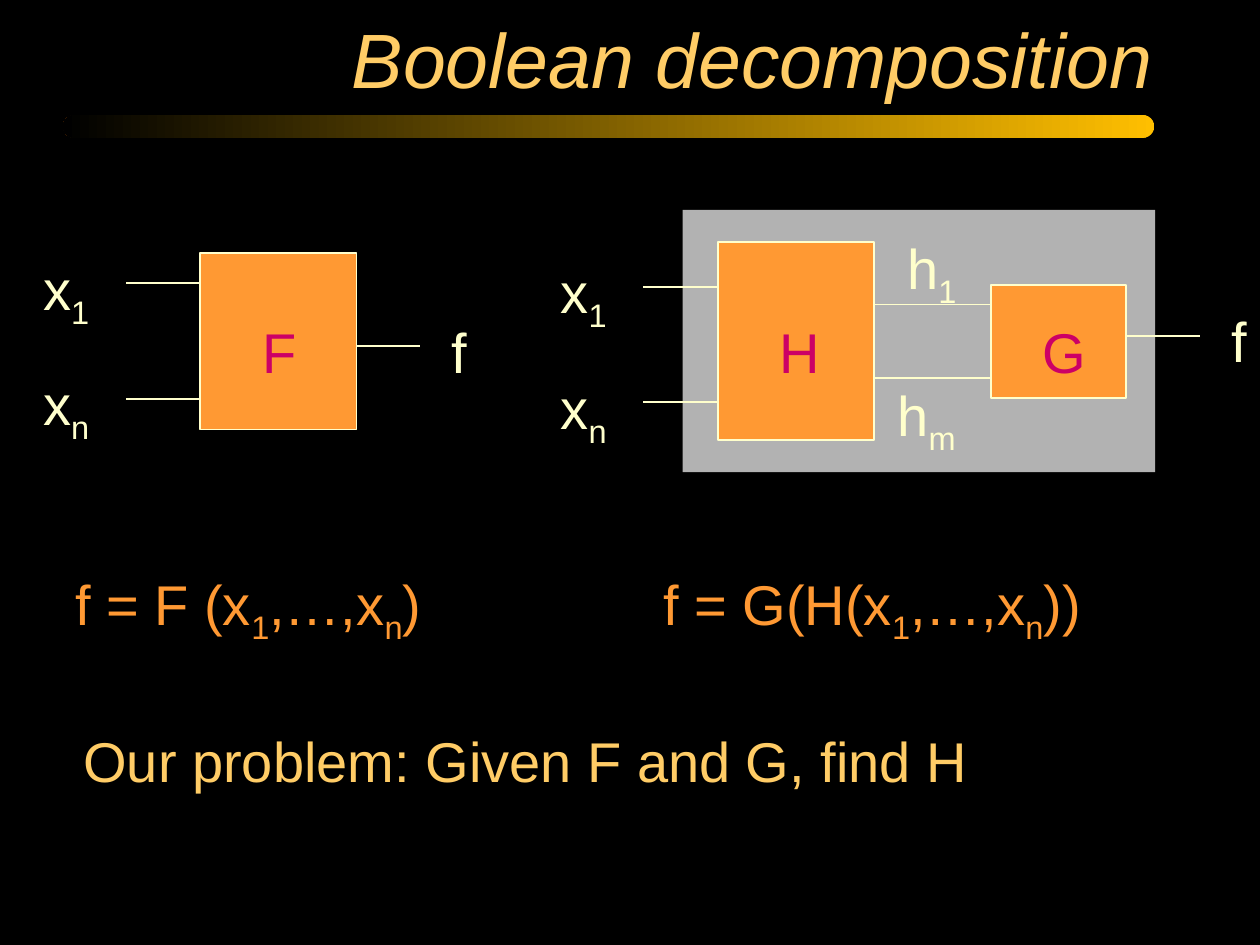
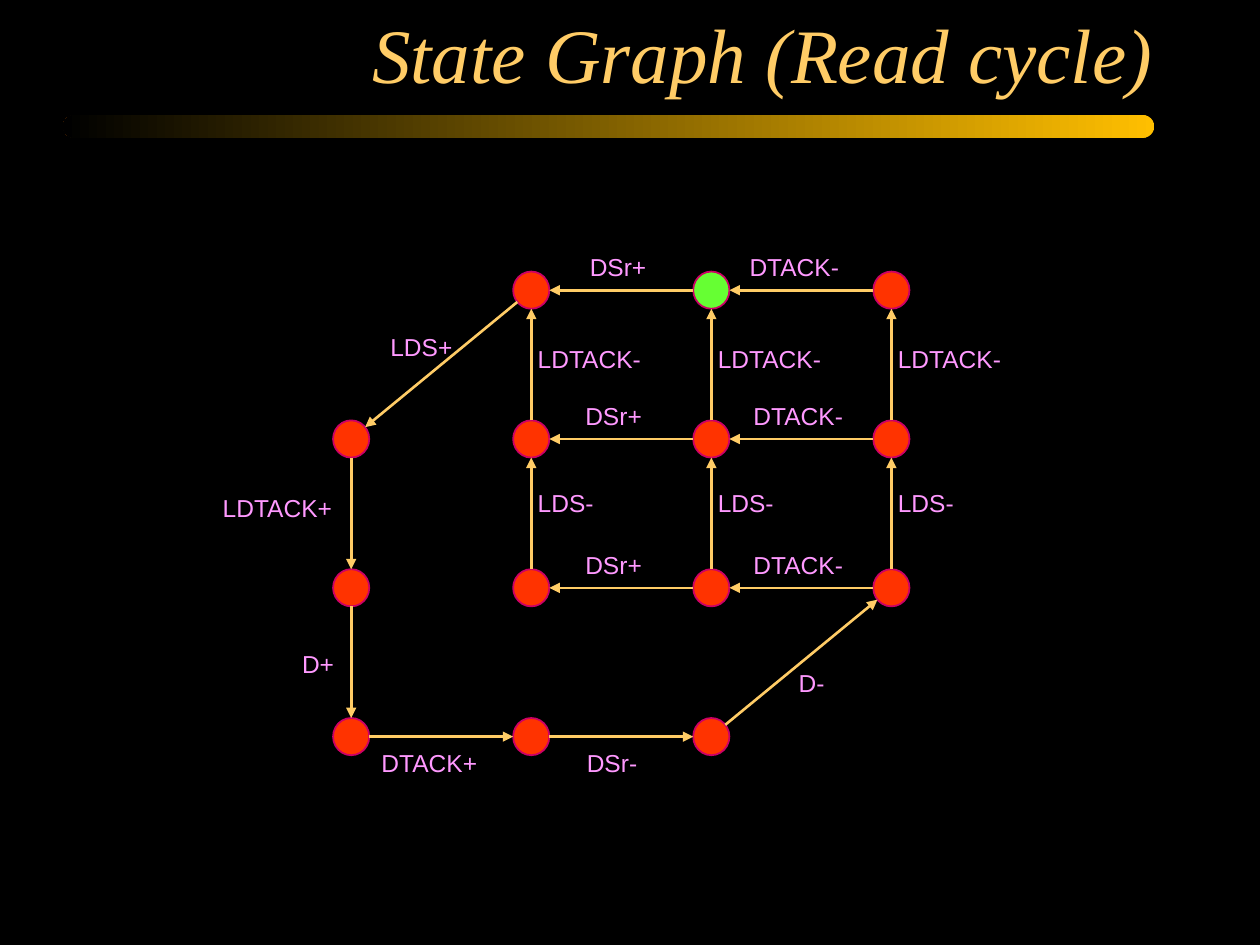
"""Build two slides: a Boolean decomposition diagram and a read-cycle state graph."""
from math import hypot

from lxml import etree
from pptx import Presentation
from pptx.dml.color import RGBColor
from pptx.enum import shapes, text
from pptx.oxml.ns import qn
from pptx.util import Cm, Pt

COLOURS = {
    "background": "000000", "band": "FFBF00", "gold": "FFCC66", "cream": "FFFFCC",
    "orange": "FF9933", "crimson": "CC0066", "panel": "B2B2B2", "state": "FF3300",
    "initial": "66FF33", "signal": "FF99FF",
}
TITLE_BOX = (1.91, 0.21, 21.59, 1.91)
BAND_BOX = (1.27, 2.32, 22, 0.46)

PANEL = (13.76, 4.23, 9.53, 5.29)
BLOCKS = [(4.04, 5.1, 3.15, 3.56), (14.48, 4.88, 3.14, 3.99), (19.98, 5.74, 2.72, 2.29)]
WIRES = [
    (2.54, 4.01, 5.71), (2.54, 4.01, 8.04), (7.19, 8.47, 6.98),
    (12.97, 14.45, 5.79), (12.97, 14.45, 8.11),
    (17.63, 19.97, 6.14), (17.63, 19.97, 7.62), (22.71, 24.19, 6.77),
]
DIAGRAM_TEXTS = [
    ("F", 5.04, 6.27, 1.19, "crimson"),
    ("H", 15.47, 6.27, 1.32, "crimson"),
    ("G", 20.77, 6.27, 1.4, "crimson"),
    ("x_1", 0.62, 5, 1.45, "cream"),
    ("x_n", 0.62, 7.32, 1.45, "cream"),
    ("f", 8.85, 6.27, 0.84, "cream"),
    ("x_1", 11.05, 5.07, 1.45, "cream"),
    ("x_n", 11.05, 7.4, 1.45, "cream"),
    ("h_1", 18.04, 4.58, 1.5, "cream"),
    ("h_m", 17.84, 7.54, 1.68, "cream"),
    ("f", 24.57, 6.05, 0.84, "cream"),
    ("f = F (x_1,…,x_n)", 1.27, 11.35, 7.49, "orange"),
    ("f = G(H(x_1,…,x_n))", 13.12, 11.35, 8.94, "orange"),
    ("Our problem: Given F and G, find H", 1.43, 14.53, 18.36, "gold"),
]

COLUMN_X = [7.08 + 3.63 * column for column in range(4)]
ROW_Y = [5.85 + 3 * row for row in range(4)]
STATE_SIZE = (0.73, 0.75)
INITIAL_STATE = (2, 0)
STATES = [(column, row) for row in range(3) for column in (1, 2, 3)]
STATES += [(0, 1), (0, 2), (0, 3), (1, 3), (2, 3)]
SIGNAL_WIDTHS = {
    "DSr+": 1.7, "DSr-": 1.57, "DTACK+": 2.51, "DTACK-": 2.39, "LDS+": 1.85,
    "LDS-": 1.68, "LDTACK+": 2.79, "LDTACK-": 2.67, "D+": 1.25, "D-": 1.12,
}
OUTER_TRANSITIONS = [
    ((1, 0), (0, 1), "LDS+", 7.62, 6.57),
    ((0, 1), (0, 2), "LDTACK+", 4.24, 9.82),
    ((0, 2), (0, 3), "D+", 5.84, 12.95),
    ((0, 3), (1, 3), "DTACK+", 7.44, 14.96),
    ((1, 3), (2, 3), "DSr-", 11.58, 14.96),
    ((2, 3), (3, 2), "D-", 15.85, 13.34),
]
LEFTWARD = [(2, "DSr+", (11.64, 11.55, 11.55)), (3, "DTACK-", (14.86, 14.94, 14.94))]
UPWARD = [(1, "LDTACK-", 6.81), (2, "LDS-", 9.72)]


def grid_transitions():
    """Return the leftward and upward transitions between the nine grid states."""
    leftward = [((column, row), (column - 1, row), signal, left, ROW_Y[row] - 0.89)
                for column, signal, lefts in LEFTWARD for row, left in enumerate(lefts)]
    upward = [((column, row), (column, row - 1), signal, COLUMN_X[column] - 0.12, top)
              for row, signal, top in UPWARD for column in (1, 2, 3)]
    return leftward + upward


def colour(name):
    """Return the named colour."""
    return RGBColor.from_string(COLOURS[name])


def lengths(values):
    """Convert centimetres to slide lengths."""
    return [Cm(value) for value in values]


def add_figure(slide, kind, box, fill=None, line=None):
    """Add a flat preset shape."""
    shape = slide.shapes.add_shape(kind, *lengths(box))
    shape.shadow.inherit = False
    if fill:
        shape.fill.solid()
        shape.fill.fore_color.rgb = colour(fill)
    if line:
        shape.line.color.rgb = colour(line)
        shape.line.width = Pt(1)
    else:
        shape.line.fill.background()
    return shape


def add_line(slide, ends, line, width, arrow=False):
    """Add a straight line, with an arrowhead at its end if asked."""
    connector = slide.shapes.add_connector(shapes.MSO_CONNECTOR.STRAIGHT, *lengths(ends))
    connector.line.color.rgb = colour(line)
    connector.line.width = Pt(width)
    properties = connector.element.spPr
    if arrow:
        etree.SubElement(properties.find(qn("a:ln")), qn("a:tailEnd"), type="triangle")
    etree.SubElement(properties, qn("a:effectLst"))


def add_text(slide, content, box, size, name):
    """Add one line of text in which an underscore lowers the next character."""
    frame = slide.shapes.add_textbox(*lengths(box)).text_frame
    frame.word_wrap = False
    frame.auto_size = text.MSO_AUTO_SIZE.SHAPE_TO_FIT_TEXT
    paragraph = frame.paragraphs[0]
    first, *rest = content.split("_")
    pieces = [(first, False)]
    for part in rest:
        pieces += [(part[0], True), (part[1:], False)]
    for piece, lowered in pieces:
        if piece:
            run = paragraph.add_run()
            run.text = piece
            run.font.name = "Arial"
            run.font.size = Pt(size)
            run.font.color.rgb = colour(name)
            if lowered:
                run._r.get_or_add_rPr().set("baseline", "-25000")


def prepare_layout(presentation):
    """Set the background and title place, and return the layout."""
    background = presentation.slide_master.background.fill
    background.solid()
    background.fore_color.rgb = colour("background")
    layout = presentation.slide_layouts.get_by_name("Title Only")
    title = layout.placeholders[0]
    title.left, title.top, title.width, title.height = lengths(TITLE_BOX)
    return layout


def move_band_to_layout(slide, layout):
    """Draw the gradient band and hand it to the layout."""
    band = add_figure(slide, shapes.MSO_SHAPE.ROUNDED_RECTANGLE, BAND_BOX)
    band.adjustments[0] = 0.5
    band.fill.gradient()
    band.fill.gradient_angle = 180
    for stop, name in zip(band.fill.gradient_stops, ("band", "background")):
        stop.color.rgb = colour(name)
    layout.shapes.element.insert(2, band.element)


def add_slide(presentation, layout, title, font_name, anchor):
    """Add a slide with its title."""
    slide = presentation.slides.add_slide(layout)
    frame = slide.shapes.title.text_frame
    frame.text = title
    frame.auto_size = text.MSO_AUTO_SIZE.NONE
    frame.vertical_anchor = anchor
    paragraph = frame.paragraphs[0]
    paragraph.alignment = text.PP_ALIGN.RIGHT
    font = paragraph.runs[0].font
    font.name, font.size, font.italic = font_name, Pt(44), True
    font.color.rgb = colour("gold")
    return slide


def draw_decomposition(slide):
    """Draw the blocks, wires and formulas."""
    add_figure(slide, shapes.MSO_SHAPE.RECTANGLE, PANEL, "panel")
    for box in BLOCKS:
        add_figure(slide, shapes.MSO_SHAPE.RECTANGLE, box, "orange", "cream")
    for start, end, y in WIRES:
        add_line(slide, (start, y, end, y), "cream", 1)
    for content, left, top, width, name in DIAGRAM_TEXTS:
        height = 1.8 if "_" in content else 1.6
        add_text(slide, content, (left, top, width, height), 32, name)


def draw_state_graph(slide):
    """Draw the states and the labelled transitions between them."""
    width, height = STATE_SIZE
    for state in STATES:
        column, row = state
        box = (COLUMN_X[column] - width / 2, ROW_Y[row] - height / 2, width, height)
        fill = "initial" if state == INITIAL_STATE else "state"
        add_figure(slide, shapes.MSO_SHAPE.OVAL, box, fill, "crimson")
    for start, end, signal, left, top in grid_transitions() + OUTER_TRANSITIONS:
        x1, y1 = COLUMN_X[start[0]], ROW_Y[start[1]]
        x2, y2 = COLUMN_X[end[0]], ROW_Y[end[1]]
        distance = hypot(x2 - x1, y2 - y1)
        dx = (x2 - x1) / distance * width / 2
        dy = (y2 - y1) / distance * height / 2
        add_line(slide, (x1 + dx, y1 + dy, x2 - dx, y2 - dy), "gold", 1.5, arrow=True)
        add_text(slide, signal, (left, top, SIGNAL_WIDTHS[signal], 0.86), 14, "signal")


def main():
    """Build and save the presentation."""
    presentation = Presentation()
    presentation.slide_width, presentation.slide_height = Cm(25.4), Cm(19.05)
    layout = prepare_layout(presentation)
    decomposition = add_slide(presentation, layout, "Boolean decomposition", "Arial",
                              text.MSO_ANCHOR.MIDDLE)
    move_band_to_layout(decomposition, layout)
    draw_decomposition(decomposition)
    state_graph = add_slide(presentation, layout, "State Graph (Read cycle)",
                            "Times New Roman", text.MSO_ANCHOR.BOTTOM)
    draw_state_graph(state_graph)
    presentation.save("out.pptx")


if __name__ == "__main__":
    main()
